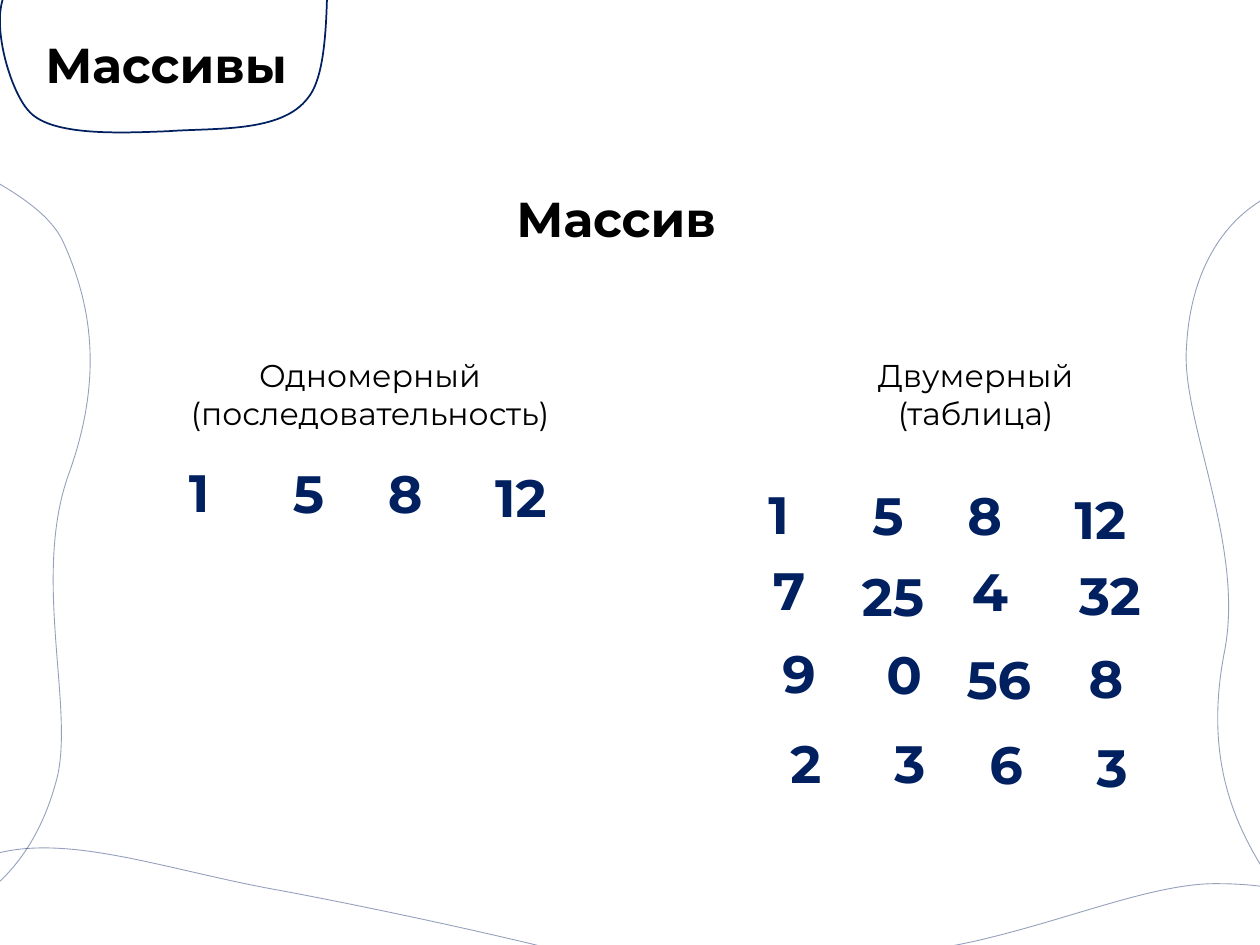
from lxml.etree import SubElement
from pptx import Presentation
from pptx.dml.color import RGBColor
from pptx.enum.text import MSO_ANCHOR, MSO_AUTO_SIZE, PP_ALIGN
from pptx.oxml.ns import qn
from pptx.util import Pt

NAVY = RGBColor(0x00, 0x20, 0x60)
BLACK = RGBColor(0x00, 0x00, 0x00)
FONT = "Montserrat"

TITLE_FRAME = [
    (173, -10), (160, -23), (48, -10), (17, -12), (-13, -13), (3, 50), (17, 64),
    (30, 78), (70, 76), (96, 75), (123, 73), (161, 76), (176, 56),
    (192, 37), (184, -32), (190, -41),
]
LEFT_WAVE = [
    (-29, 120), (-46, 148), (-80, 428), (-94, 502), (-107, 577), (-41, 527), (-19, 517),
    (1, 507), (23, 484), (33, 443), (42, 402), (18, 327), (40, 269),
    (60, 212), (51, 171), (36, 138), (21, 106), (-45, 88), (-52, 73),
]
RIGHT_WAVE = [
    (791, 506), (804, 477), (791, 195), (793, 119), (793, 43), (737, 104), (717, 117),
    (698, 130), (680, 156), (678, 199), (675, 240), (711, 311), (700, 371),
    (688, 431), (704, 469), (724, 500), (745, 529), (814, 536), (822, 549),
]
BOTTOM_LEFT_WAVE = [
    (375, 559), (336, 545), (225, 521), (161, 509), (98, 498), (40, 476), (-3, 488),
    (-47, 500), (-79, 577), (-100, 582),
]
BOTTOM_RIGHT_WAVE = [
    (315, 665), (353, 678), (708, 642), (804, 639), (900, 635), (819, 570), (801, 547),
    (783, 525), (750, 505), (696, 505), (642, 504), (556, 553), (480, 544),
    (404, 534), (355, 556), (319, 583), (283, 610), (279, 693), (262, 706),
]

NUMBER_COLUMNS = [(0, 0, 57), (59.5, 0.3, 47), (113.75, 0.5, 44), (175, 2.5, 57)]
NUMBER_ROWS = [
    (100.8, 259.5, ["1", "5", "8", "12"]),
    (432, 272, ["1", "5", "8", "12"]),
    (434.5, 315.5, ["7", "25", "4", "32"]),
    (440, 363, ["9", "0", "56", "8"]),
    (444.5, 414, ["2", "3", "6", "3"]),
]


def add_curve(slide, points, width, opacity=None):
    builder = slide.shapes.build_freeform(*points[0], scale=Pt(1))
    builder.add_line_segments(points[1:], close=False)
    shape = builder.convert_to_shape()
    shape.shadow.inherit = False
    shape.fill.background()
    shape.line.color.rgb = NAVY
    shape.line.width = Pt(width)
    segments = list(shape.element.iter(qn("a:lnTo")))
    for start in range(0, len(segments), 3):
        curve = SubElement(segments[start].getparent(), qn("a:cubicBezTo"))
        for segment in segments[start:start + 3]:
            curve.append(segment[0])
            segment.getparent().remove(segment)
    if opacity:
        for color in shape.element.iter(qn("a:srgbClr")):
            SubElement(color, qn("a:alpha")).set("val", str(opacity * 1000))


def write_run(paragraph, text, size, color, bold):
    run = paragraph.add_run()
    run.text = text
    run.font.name = FONT
    run.font.size = Pt(size)
    run.font.color.rgb = color
    run.font.bold = bold


def add_title(slide, text):
    title = slide.shapes.title
    title.left, title.top, title.width, title.height = Pt(18.7), Pt(15.8), Pt(318), Pt(45.4)
    title.text_frame.vertical_anchor = MSO_ANCHOR.MIDDLE
    paragraph = title.text_frame.paragraphs[0]
    paragraph.alignment = PP_ALIGN.LEFT
    paragraph.line_spacing = 0.9
    write_run(paragraph, text, 28, BLACK, True)


def add_text(slide, frame, lines, size, color=BLACK, bold=False, alignment=PP_ALIGN.LEFT):
    text_frame = slide.shapes.add_textbox(*map(Pt, frame)).text_frame
    text_frame.word_wrap = True
    text_frame.auto_size = MSO_AUTO_SIZE.SHAPE_TO_FIT_TEXT
    for index, line in enumerate(lines):
        paragraph = text_frame.add_paragraph() if index else text_frame.paragraphs[0]
        paragraph.alignment = alignment
        write_run(paragraph, line, size, color, bold)


def add_number_row(slide, left, top, numbers):
    for number, (across, down, width) in zip(numbers, NUMBER_COLUMNS):
        if len(number) > 1 and width < 57:
            across, down, width = across - 8.5, down + 3, 64
        add_text(slide, (left + across, top + down, width, 44), [number], 30, NAVY, True)


def main():
    presentation = Presentation()
    presentation.slide_width, presentation.slide_height = Pt(720), Pt(540)
    slide = presentation.slides.add_slide(presentation.slide_layouts[5])

    add_title(slide, "Массивы")
    add_curve(slide, TITLE_FRAME, 1)
    for wave in (LEFT_WAVE, RIGHT_WAVE, BOTTOM_LEFT_WAVE, BOTTOM_RIGHT_WAVE):
        add_curve(slide, wave, 0.5, 42)

    add_text(slide, (288, 104.4, 220, 41), ["Массив"], 28, bold=True)
    add_text(slide, (88.5, 200, 246, 51), ["Одномерный", "(последовательность)"], 18,
             alignment=PP_ALIGN.CENTER)
    add_text(slide, (485, 200, 145, 51), ["Двумерный", "(таблица)"], 18,
             alignment=PP_ALIGN.CENTER)
    for left, top, numbers in NUMBER_ROWS:
        add_number_row(slide, left, top, numbers)

    presentation.save("out.pptx")


if __name__ == "__main__":
    main()
